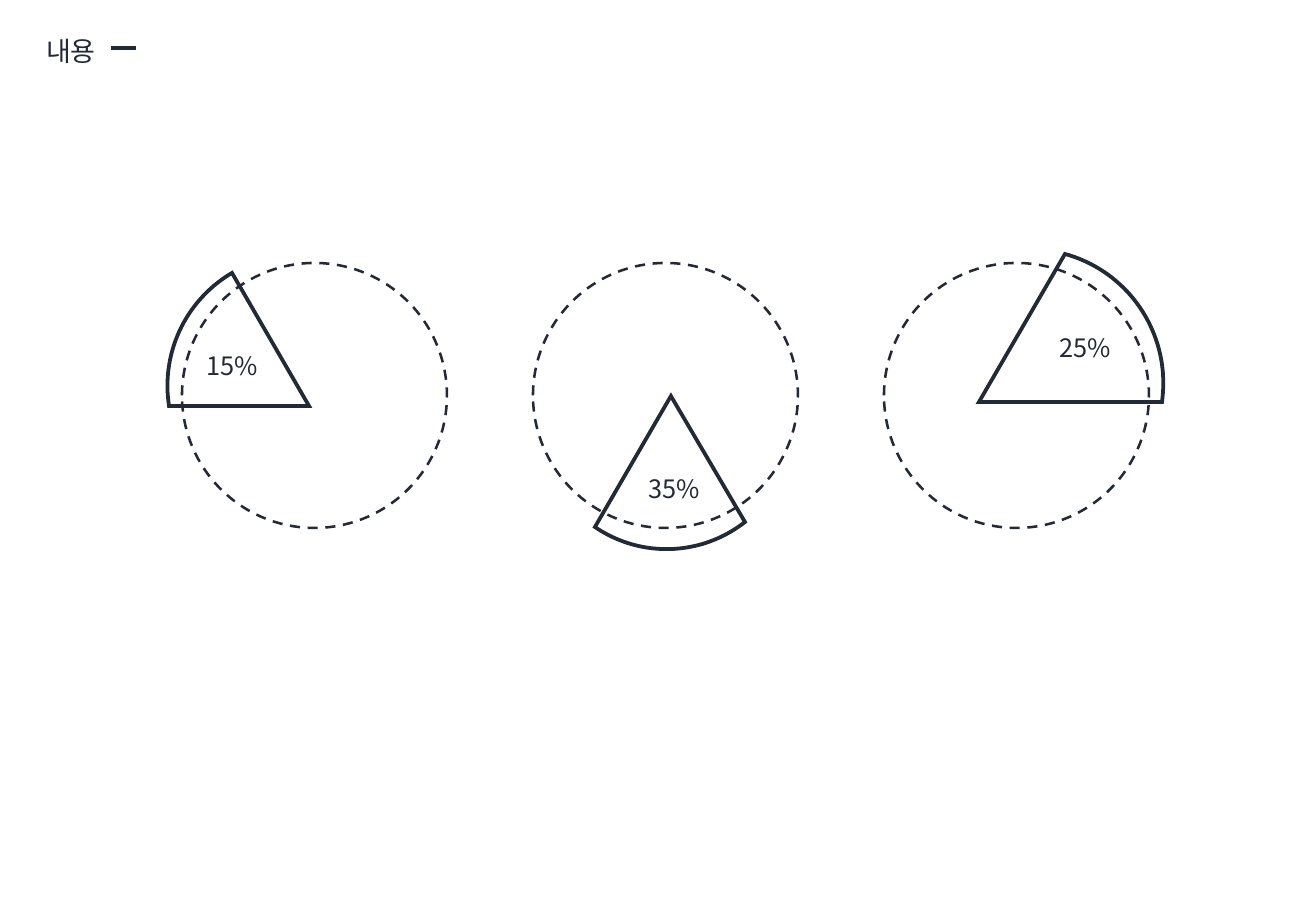
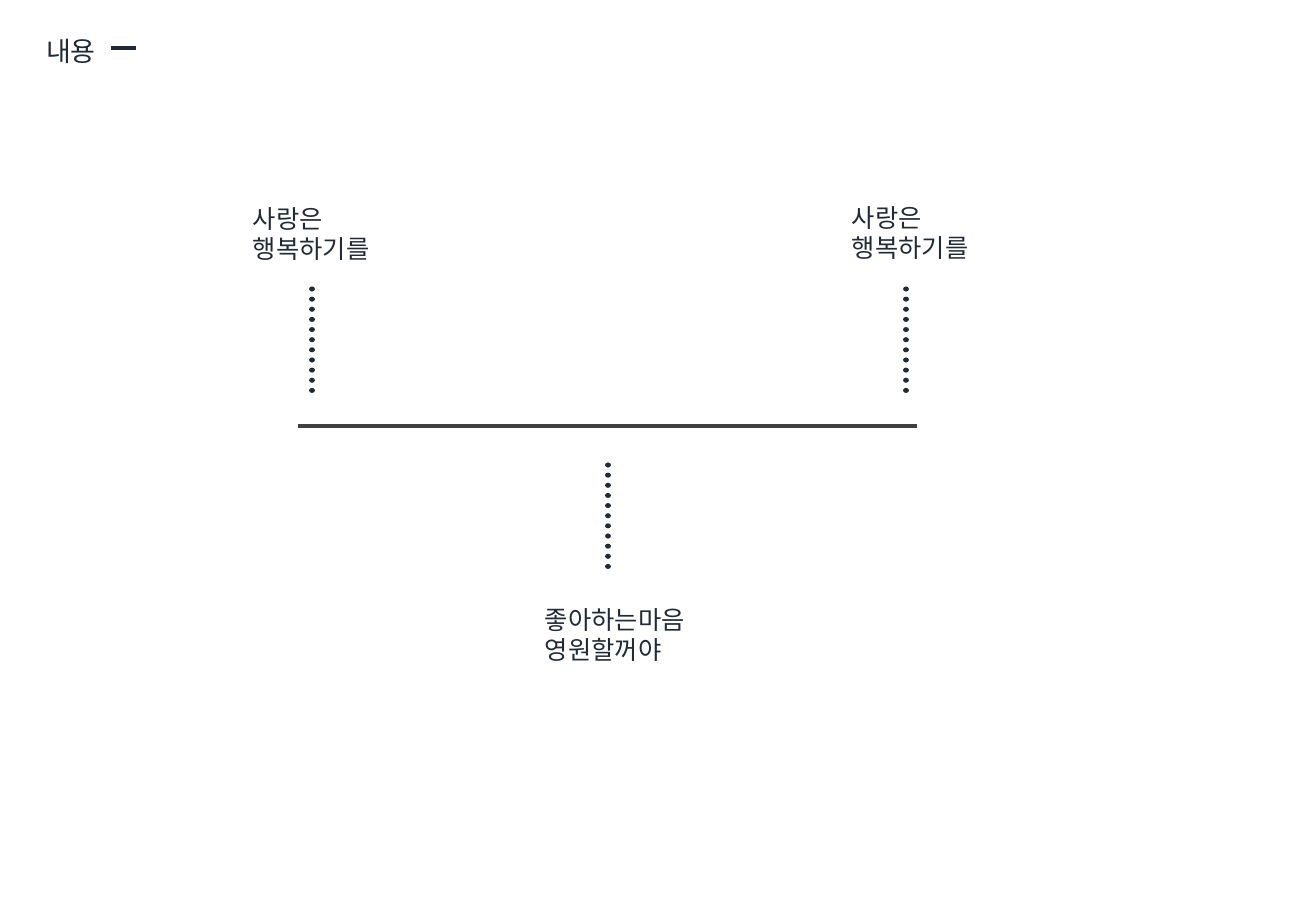
import math
import pptx
import pptx.util
import pptx.dml.color
import pptx.enum.dml
import pptx.enum.shapes
import pptx.enum.text
import pptx.oxml.ns
from lxml import etree

PX = 7526
FONT = "Noto Sans CJK KR"
COLORS = {"ink": "222A35", "axis": "404040", "background": "FFFFFF"}
DASH = pptx.enum.dml.MSO_LINE.DASH
DOTS = pptx.enum.dml.MSO_LINE.ROUND_DOT
qn = pptx.oxml.ns.qn


def px(n):
    return pptx.util.Emu(round(n * PX))


def rgb(name):
    return pptx.dml.color.RGBColor.from_string(COLORS[name])


def style_line(s, width, color="ink", dash=None):
    s.line.color.rgb = rgb(color)
    s.line.width = pptx.util.Pt(width)
    if dash is not None:
        s.line.dash_style = dash
    return s._element.spPr.find(qn("a:ln"))


def format_text(sp, size, align, spacing=None):
    tf = sp.text_frame
    tf.word_wrap = True
    tf.auto_size = pptx.enum.text.MSO_AUTO_SIZE.SHAPE_TO_FIT_TEXT
    tf.vertical_anchor = pptx.enum.text.MSO_ANCHOR.TOP
    for p in tf.paragraphs:
        p.alignment = align
        if spacing:
            p.line_spacing = spacing
        for r in p.runs:
            r.font.size = pptx.util.Pt(size)
            r.font.name = FONT
            r.font.color.rgb = rgb("ink")
            ea = etree.SubElement(r._r.get_or_add_rPr(), qn("a:ea"))
            ea.set("typeface", FONT)


def add_text(s, text, x, y, w, h, align=pptx.enum.text.PP_ALIGN.LEFT, spacing=None):
    sp = s.shapes.add_textbox(px(x), px(y), px(w), px(h))
    sp.text_frame.text = text
    format_text(sp, 15, align, spacing)


def add_line(s, x1, y1, x2, y2, width=2.25, color="ink", dash=None):
    sp = s.shapes.add_connector(
        pptx.enum.shapes.MSO_CONNECTOR.STRAIGHT, px(x1), px(y1), px(x2), px(y2))
    ln = style_line(sp, width, color, dash)
    if dash == DOTS:
        ln.set("cap", "rnd")
    etree.SubElement(sp._element.spPr, qn("a:effectLst"))


def add_circle(s, x, y, d):
    sp = s.shapes.add_shape(
        pptx.enum.shapes.MSO_SHAPE.OVAL, px(x), px(y), px(d), px(d))
    sp.shadow.inherit = False
    sp.fill.background()
    style_line(sp, 1.5, dash=DASH)


def arc_points(start, end, radius, steps=40):
    dx, dy = end[0] - start[0], end[1] - start[1]
    chord = math.hypot(dx, dy)
    rise = math.sqrt(radius ** 2 - chord ** 2 / 4) / chord
    cx = (start[0] + end[0]) / 2 - dy * rise
    cy = (start[1] + end[1]) / 2 + dx * rise
    first = math.atan2(start[1] - cy, start[0] - cx)
    sweep = 2 * math.asin(chord / 2 / radius)
    angles = [first + sweep * i / steps for i in range(steps + 1)]
    return [(cx + radius * math.cos(a), cy + radius * math.sin(a)) for a in angles]


def add_wedge(s, apex, start, end, radius):
    builder = s.shapes.build_freeform(px(apex[0]), px(apex[1]))
    points = arc_points(start, end, radius)
    builder.add_line_segments([(px(x), px(y)) for x, y in points], close=True)
    sp = builder.convert_to_shape()
    sp.shadow.inherit = False
    sp.fill.background()
    ln = style_line(sp, 2.25)
    etree.SubElement(ln, qn("a:miter")).set("lim", "800000")


def add_slide(prs, title):
    s = prs.slides.add_slide(prs.slide_layouts[5])
    s.background.fill.solid()
    s.background.fill.fore_color.rgb = rgb("background")
    sp = s.shapes.title
    sp.left, sp.top, sp.width, sp.height = px(34), px(28), px(184), px(45)
    sp.text_frame.text = title
    format_text(sp, 16, pptx.enum.text.PP_ALIGN.LEFT)
    add_line(s, 111, 48, 136, 48)
    return s


def add_share_slide(prs):
    s = add_slide(prs, "내용")
    shares = [
        ("15%", (130, 329), (309, 406), (169, 406), (232, 273), 131),
        ("35%", (572, 452), (671, 396), (745, 522), (595, 527), 127),
        ("25%", (983, 311), (979, 402), (1065, 254), (1162, 402), 134),
    ]
    for i, (label, corner, apex, start, end, radius) in enumerate(shares):
        add_circle(s, 182 + 351 * i, 263, 265)
        add_wedge(s, apex, start, end, radius)
        add_text(s, label, *corner, 204, 58, pptx.enum.text.PP_ALIGN.CENTER, 1.5)


def add_timeline_slide(prs):
    s = add_slide(prs, "내용")
    add_line(s, 298, 426, 917, 426, color="axis")
    events = [
        ("사랑은\n행복하기를", 241, 197, 312, 289),
        ("좋아하는마음\n영원할꺼야", 533, 598, 608, 465),
        ("사랑은\n행복하기를", 840, 196, 906, 289),
    ]
    for text, x, y, dots_x, dots_y in events:
        add_line(s, dots_x, dots_y, dots_x, dots_y + 109, 3, dash=DOTS)
        add_text(s, text, x, y, 346, 74)


def main():
    prs = pptx.Presentation()
    prs.slide_width, prs.slide_height = px(1316), px(911)
    add_share_slide(prs)
    add_timeline_slide(prs)
    prs.save("out.pptx")


if __name__ == "__main__":
    main()
